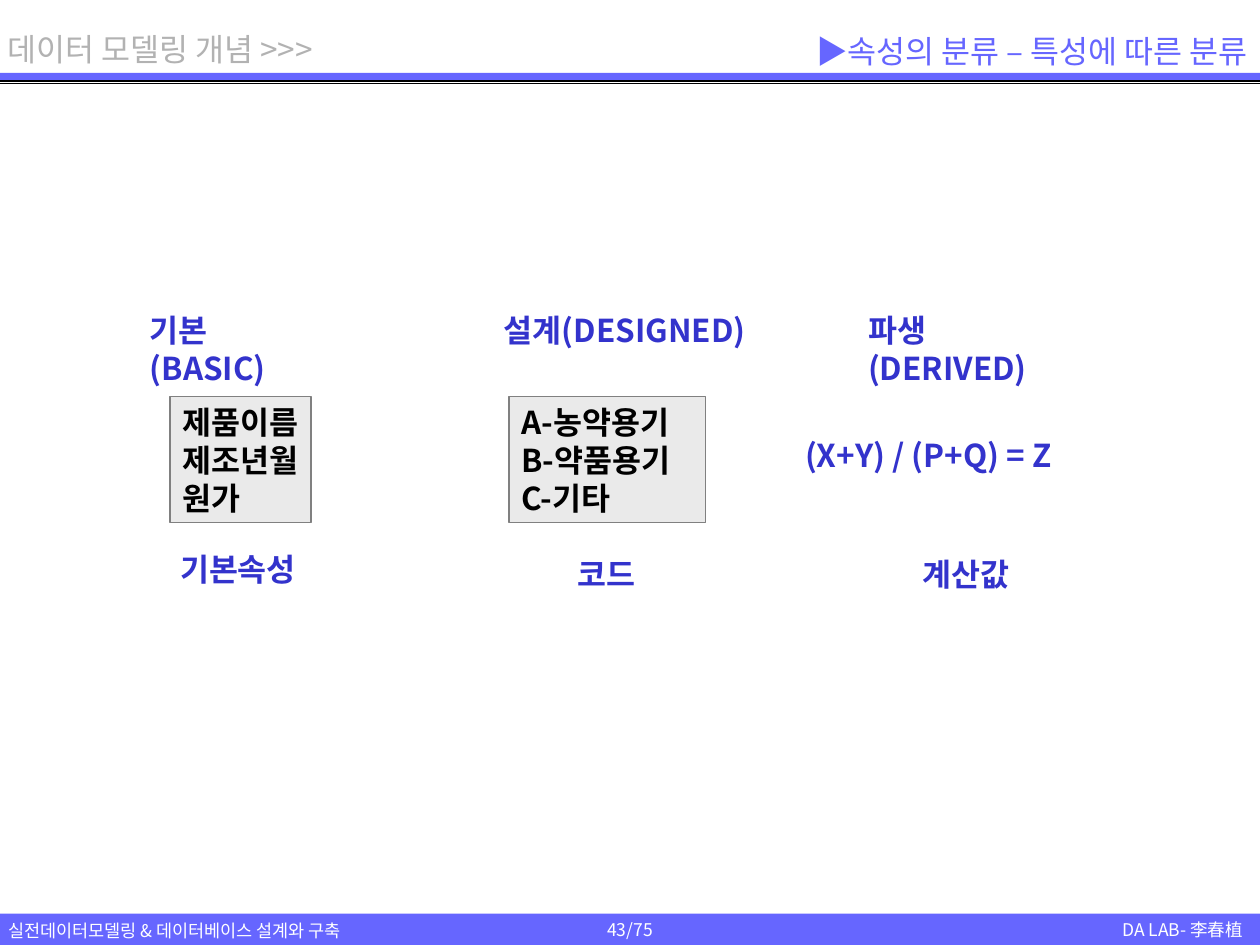
"""Build the slide on classifying attributes by their characteristics."""
from lxml import etree
from pptx import Presentation
from pptx.dml.color import RGBColor
from pptx.enum.shapes import MSO_CONNECTOR, MSO_SHAPE
from pptx.enum.text import MSO_ANCHOR, MSO_AUTO_SIZE, PP_ALIGN
from pptx.oxml.ns import qn
from pptx.util import Cm, Pt

LEFT, CENTER, RIGHT = PP_ALIGN.LEFT, PP_ALIGN.CENTER, PP_ALIGN.RIGHT
TOP, MIDDLE = MSO_ANCHOR.TOP, MSO_ANCHOR.MIDDLE
RECTANGLE = MSO_SHAPE.RECTANGLE
STRAIGHT = MSO_CONNECTOR.STRAIGHT
NO_AUTOFIT = MSO_AUTO_SIZE.NONE
FONT = "Noto Sans CJK KR"
COLORS = {"band": "6666FF", "label": "3333CC", "panel": "EAEAEA", "edge": "808080",
          "ink": "000000", "chapter": "B2B2B2", "paper": "FFFFFF"}
WIDTH, HEIGHT = 25.4, 19.05
LINE_HEIGHT = 1.02


def color(name):
    return RGBColor.from_string(COLORS[name])


def write(shape, lines, size, ink, bold=False, align=LEFT, anchor=TOP, wrap=True):
    frame = shape.text_frame
    frame.auto_size = NO_AUTOFIT
    frame.word_wrap = wrap
    frame.vertical_anchor = anchor
    frame.margin_left = frame.margin_right = Cm(0.25)
    frame.margin_top = frame.margin_bottom = Cm(0.13)
    for index, line in enumerate(lines):
        paragraph = frame.add_paragraph() if index else frame.paragraphs[0]
        paragraph.alignment = align
        run = paragraph.add_run()
        run.text = line
        run.font.size = Pt(size)
        run.font.bold = bold
        run.font.color.rgb = color(ink)
        run.font.name = FONT
        etree.SubElement(run.font._element, qn("a:ea"), typeface=FONT)


presentation = Presentation()
presentation.slide_width, presentation.slide_height = Cm(WIDTH), Cm(HEIGHT)
slide = presentation.slides.add_slide(presentation.slide_layouts[5])
shapes = slide.shapes

bands = []
for top, height in ((18.42, 0.63), (1.47, 0.15)):
    band = shapes.add_shape(RECTANGLE, 0, Cm(top), Cm(WIDTH), Cm(height))
    band.shadow.inherit = False
    band.fill.solid()
    band.fill.fore_color.rgb = color("band")
    band.line.fill.background()
    bands.append(band)
write(bands[0], ["43/75"], 10, "paper", align=CENTER, anchor=MIDDLE, wrap=False)

for y in (1.63, 1.65, 1.68):
    rule = shapes.add_connector(STRAIGHT, 0, Cm(y), Cm(WIDTH), Cm(y))
    rule.line.color.rgb = color("ink")
    rule.line.width = Pt(0.75)
    etree.SubElement(rule._element.spPr, qn("a:effectLst"))

running_texts = [
    ("실전데이터모델링 & 데이터베이스 설계와 구축", -0.08, 18.41, 7.95, 0.69, 10, "paper", LEFT),
    ("DA LAB- 李春植", 21.5, 18.39, 3.8, 0.69, 10, "paper", RIGHT),
    ("데이터 모델링 개념 >>>", -0.1, 0.48, 7.11, LINE_HEIGHT, 18, "chapter", LEFT),
]
for text, left, top, width, height, size, ink, align in running_texts:
    running = shapes.add_textbox(Cm(left), Cm(top), Cm(width), Cm(height))
    write(running, [text], size, ink, align=align)

labels = [
    ("기본(BASIC)", 2.77, 6.15, 3.8),
    ("설계(DESIGNED)", 9.91, 6.15, 5.8),
    ("파생(DERIVED)", 17.25, 6.15, 4.6),
    ("(X+Y) / (P+Q) = Z", 15.98, 8.66, 7.01),
    ("기본속성", 3.38, 10.95, 3),
    ("코드", 11.4, 11.05, 2),
    ("계산값", 18.34, 11.05, 2.6),
]
for text, left, top, width in labels:
    label = shapes.add_textbox(Cm(left), Cm(top), Cm(width), Cm(LINE_HEIGHT))
    write(label, [text], 18, "label", bold=True)

examples = [
    (["제품이름", "제조년월", "원가"], 3.43, 2.84),
    (["A-농약용기", "B-약품용기", "C-기타"], 10.26, 3.96),
]
for lines, left, width in examples:
    panel = shapes.add_shape(RECTANGLE, Cm(left), Cm(8), Cm(width), Cm(2.54))
    panel.shadow.inherit = False
    panel.fill.solid()
    panel.fill.fore_color.rgb = color("panel")
    panel.line.color.rgb = color("edge")
    panel.line.width = Pt(0.75)
    write(panel, lines, 18, "ink", bold=True)

title = shapes.title
title.left, title.top, title.width, title.height = Cm(12.7), Cm(0.48), Cm(12.7), Cm(1.09)
write(title, ["▶속성의 분류 – 특성에 따른 분류"], 18, "band", align=RIGHT, anchor=MIDDLE)

presentation.save("out.pptx")
